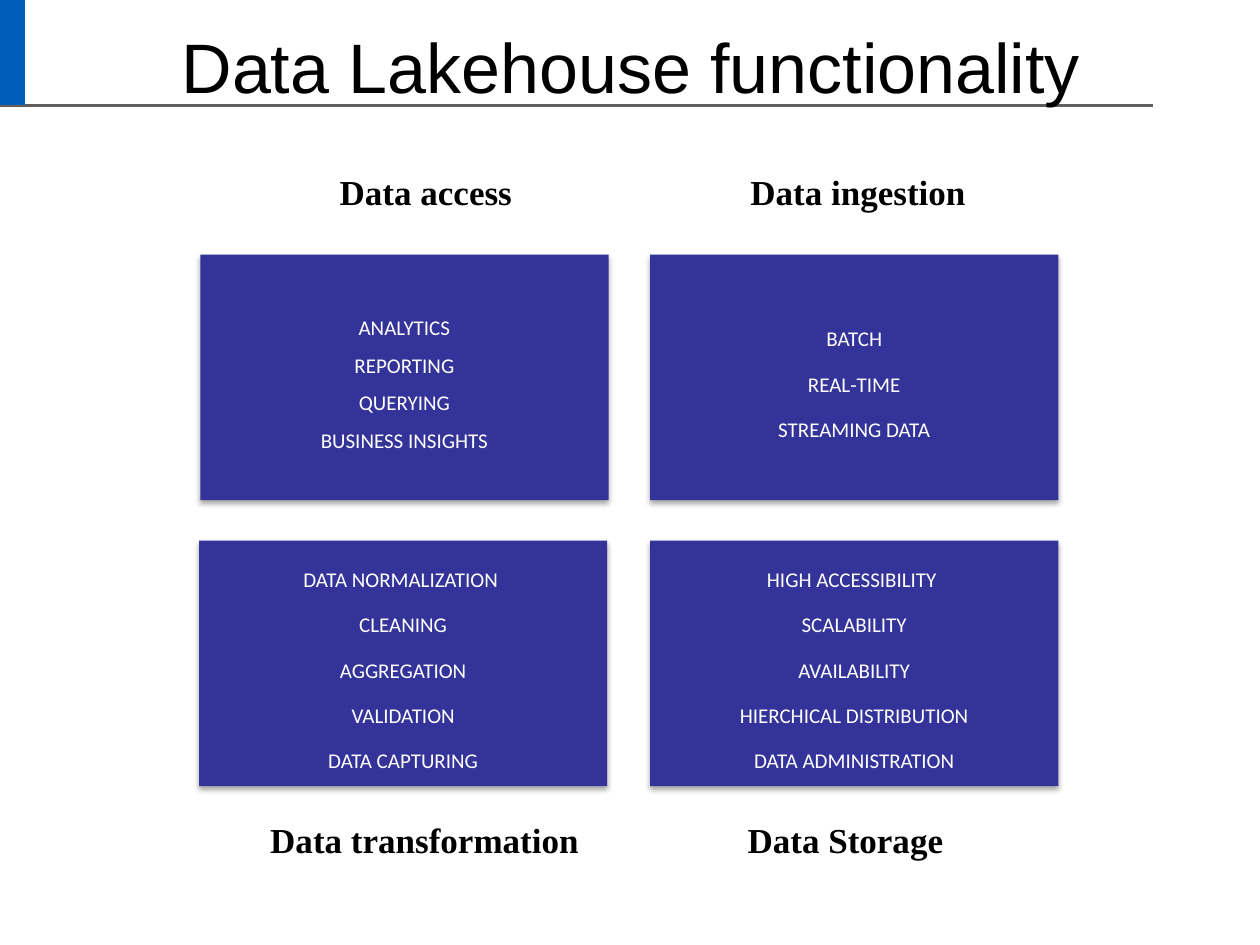
import pptx
import pptx.util
import pptx.dml.color
import pptx.enum.shapes
import pptx.enum.text
import pptx.oxml
import pptx.oxml.ns
from pptx.util import Inches

ALIGN = pptx.enum.text.PP_ALIGN.CENTER
MID = pptx.enum.text.MSO_ANCHOR.MIDDLE
RECT = pptx.enum.shapes.MSO_SHAPE.RECTANGLE
SHADOW = (
    '<a:outerShdw %s blurRad="39370" dist="22860" dir="5400000" rotWithShape="0">'
    '<a:srgbClr val="000000"><a:alpha val="35000"/></a:srgbClr></a:outerShdw>'
    % pptx.oxml.ns.nsdecls("a")
)


def tint(spot, code):
    spot.rgb = pptx.dml.color.RGBColor.from_string(code)


def write(shape, text, face, size, code, bold=False):
    frame = shape.text_frame
    frame.word_wrap = True
    frame.text = text
    for para in frame.paragraphs:
        para.alignment = ALIGN
        for run in para.runs:
            run.font.name = face
            run.font.size = pptx.util.Pt(size)
            run.font.bold = bold
            tint(run.font.color, code)


deck = pptx.Presentation()
deck.slide_width, deck.slide_height = Inches(10), Inches(7.5)
slide = deck.slides.add_slide(deck.slide_layouts[6])
shapes = slide.shapes

rule = shapes.add_connector(
    pptx.enum.shapes.MSO_CONNECTOR.STRAIGHT,
    Inches(0), Inches(0.84), Inches(9.15), Inches(0.84))
tint(rule.line.color, "5F5F5F")
rule.line.width = pptx.util.Pt(1.5)
rule._element.spPr.append(pptx.oxml.parse_xml("<a:effectLst %s/>" % pptx.oxml.ns.nsdecls("a")))

bar = shapes.add_shape(RECT, Inches(0), Inches(0), Inches(0.19), Inches(0.83))
bar.shadow.inherit = False
bar.fill.solid()
tint(bar.fill.fore_color, "005EB8")
tint(bar.line.color, "005EB8")
bar.line.width = pptx.util.Pt(0.75)

title = shapes.add_textbox(Inches(0.17), Inches(0.14), Inches(9.67), Inches(0.71))
write(title, "Data Lakehouse functionality", "Arial", 40, "000000")

cards = [
    (1.59, 2.02, "ANALYTICS\vREPORTING\vQUERYING\vBUSINESS INSIGHTS"),
    (5.16, 2.02, "BATCH\nREAL-TIME\nSTREAMING DATA"),
    (1.58, 4.29, "DATA NORMALIZATION \nCLEANING\nAGGREGATION\nVALIDATION\nDATA CAPTURING"),
    (5.16, 4.29, "HIGH ACCESSIBILITY \nSCALABILITY\nAVAILABILITY\n"
                 "HIERCHICAL DISTRIBUTION\nDATA ADMINISTRATION"),
]
for left, top, text in cards:
    card = shapes.add_shape(RECT, Inches(left), Inches(top), Inches(3.24), Inches(1.95))
    card.shadow.inherit = False
    effect = card._element.spPr.find(pptx.oxml.ns.qn("a:effectLst"))
    effect.append(pptx.oxml.parse_xml(SHADOW))
    card.fill.solid()
    tint(card.fill.fore_color, "333399")
    card.line.fill.background()
    write(card, text, "Calibri", 12, "FFFFFF")
    frame = card.text_frame
    frame.vertical_anchor = MID
    frame.margin_left = frame.margin_right = Inches(0.05)
    frame.margin_top = frame.margin_bottom = Inches(0.05)
    for para in frame.paragraphs:
        para.line_spacing = 1.5
        para.space_after = pptx.util.Pt(4.2)

heads = [
    (3.38, 1.32, "Data access"),
    (6.81, 1.32, "Data ingestion"),
    (3.37, 6.46, "Data transformation"),
    (6.71, 6.46, "Data Storage"),
]
for center, top, text in heads:
    head = shapes.add_textbox(Inches(center - 1.5), Inches(top), Inches(3), Inches(0.4))
    write(head, text, "Times New Roman", 20, "000000", True)
    head.text_frame.vertical_anchor = MID

deck.save("out.pptx")
